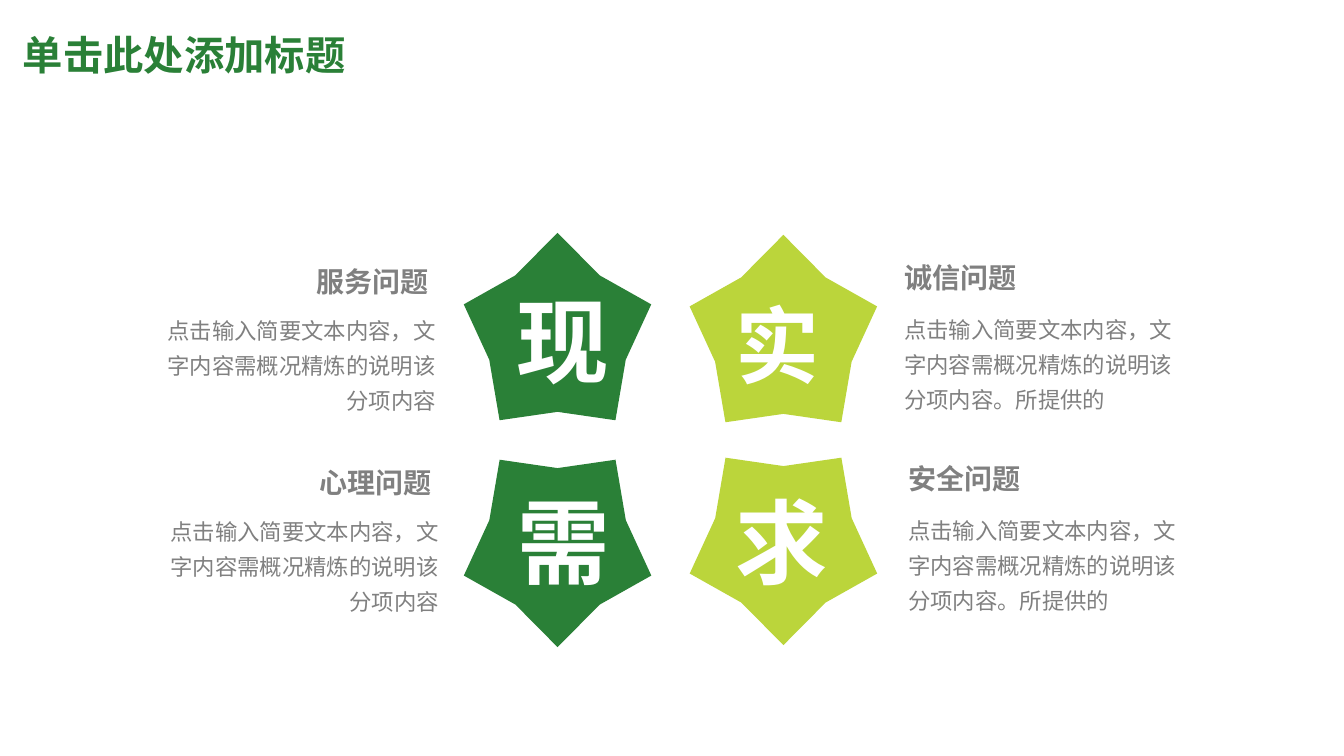
import dataclasses

import lxml.etree
import pptx
import pptx.dml.color
import pptx.enum.shapes
import pptx.enum.text
import pptx.oxml.ns
import pptx.util

PX = 9144
ALIGN = pptx.enum.text.PP_ALIGN
ANCHOR = pptx.enum.text.MSO_ANCHOR


@dataclasses.dataclass(frozen=True)
class Theme:
    green: str = "2A8037"
    lime: str = "BBD53B"
    grey: str = "808080"
    white: str = "FFFFFF"
    font: str = "Noto Sans CJK SC"
    title_font: str = "Calibri"
    title_size: float = 28.8
    heading_size: int = 20
    body_size: int = 16
    letter_size: int = 66
    small_letter_size: int = 60


THEME = Theme()
STAR_SIZE = 186
HEADING_WIDTH, HEADING_HEIGHT = 138, 44
BODY_WIDTH, BODY_HEIGHT = 295, 150
SHORT_BODY = "点击输入简要文本内容，文字内容需概况精炼的说明该分项内容"
LONG_BODY = SHORT_BODY + "。所提供的"

STARS = [
    dict(box=(460, 231), letter="现", offset=(42, 46), color=THEME.green),
    dict(box=(460, 456), letter="需", offset=(43, 20), color=THEME.green, turned=True),
    dict(box=(684, 233), letter="实", offset=(36, 53), color=THEME.lime,
         size=THEME.small_letter_size),
    dict(box=(684, 454), letter="求", offset=(36, 22), color=THEME.lime, turned=True),
]
PANELS = [
    dict(box=(147, 258), heading="服务问题", body=SHORT_BODY, gap=44, rightward=True),
    dict(box=(150, 457), heading="心理问题", body=SHORT_BODY, gap=44, rightward=True),
    dict(box=(887, 254), heading="诚信问题", body=LONG_BODY, gap=47),
    dict(box=(891, 453), heading="安全问题", body=LONG_BODY, gap=47),
]


def px(*lengths):
    return [pptx.util.Emu(length * PX) for length in lengths]


def add_text(shapes, text, box, *, size, color, font=THEME.font, bold=False,
             align=ALIGN.LEFT, anchor=ANCHOR.TOP, spacing=None):
    frame = shapes.add_textbox(*px(*box)).text_frame
    frame.word_wrap = True
    frame.vertical_anchor = anchor
    para = frame.paragraphs[0]
    para.alignment = align
    para.line_spacing = spacing
    span = para.add_run()
    span.text = text
    span.font.name = font
    span.font.size = pptx.util.Pt(size)
    span.font.bold = bold
    span.font.color.rgb = pptx.dml.color.RGBColor.from_string(color)
    east_asian = lxml.etree.SubElement(span.font._element, pptx.oxml.ns.qn("a:ea"))
    east_asian.set("typeface", THEME.font)


def add_title(page, text, box):
    add_text(page.shapes, text, box, size=THEME.title_size, color=THEME.green,
             font=THEME.title_font, bold=True, anchor=ANCHOR.MIDDLE)


def add_star(page, box, letter, offset, color, turned=False, size=THEME.letter_size):
    left, top = box
    group = page.shapes.add_group_shape()
    star = group.shapes.add_shape(pptx.enum.shapes.MSO_SHAPE.STAR_5_POINT,
                                  *px(left, top, STAR_SIZE, STAR_SIZE))
    star.adjustments[0] = 0.364
    star.rotation = 180 if turned else 0
    star.shadow.inherit = False
    star.fill.solid()
    star.fill.fore_color.rgb = pptx.dml.color.RGBColor.from_string(color)
    star.line.fill.background()
    across, down = offset
    add_text(group.shapes, letter, (left + across, top + down, 115, 121),
             size=size, color=THEME.white, bold=True)


def add_panel(page, box, heading, body, gap, rightward=False):
    left, top = box
    heading_left = left + BODY_WIDTH - HEADING_WIDTH if rightward else left
    add_text(page.shapes, heading, (heading_left, top, HEADING_WIDTH, HEADING_HEIGHT),
             size=THEME.heading_size, color=THEME.grey, bold=True)
    add_text(page.shapes, body, (left, top + gap, BODY_WIDTH, BODY_HEIGHT),
             size=THEME.body_size, color=THEME.grey, spacing=1.3,
             align=ALIGN.RIGHT if rightward else ALIGN.LEFT)


def main():
    deck = pptx.Presentation()
    deck.slide_width, deck.slide_height = px(1333, 750)
    page = deck.slides.add_slide(deck.slide_layouts[6])
    add_title(page, "单击此处添加标题", (13, 27, 1200, 54))
    for panel in PANELS:
        add_panel(page, **panel)
    for star in STARS:
        add_star(page, **star)
    deck.save("out.pptx")


if __name__ == "__main__":
    main()
